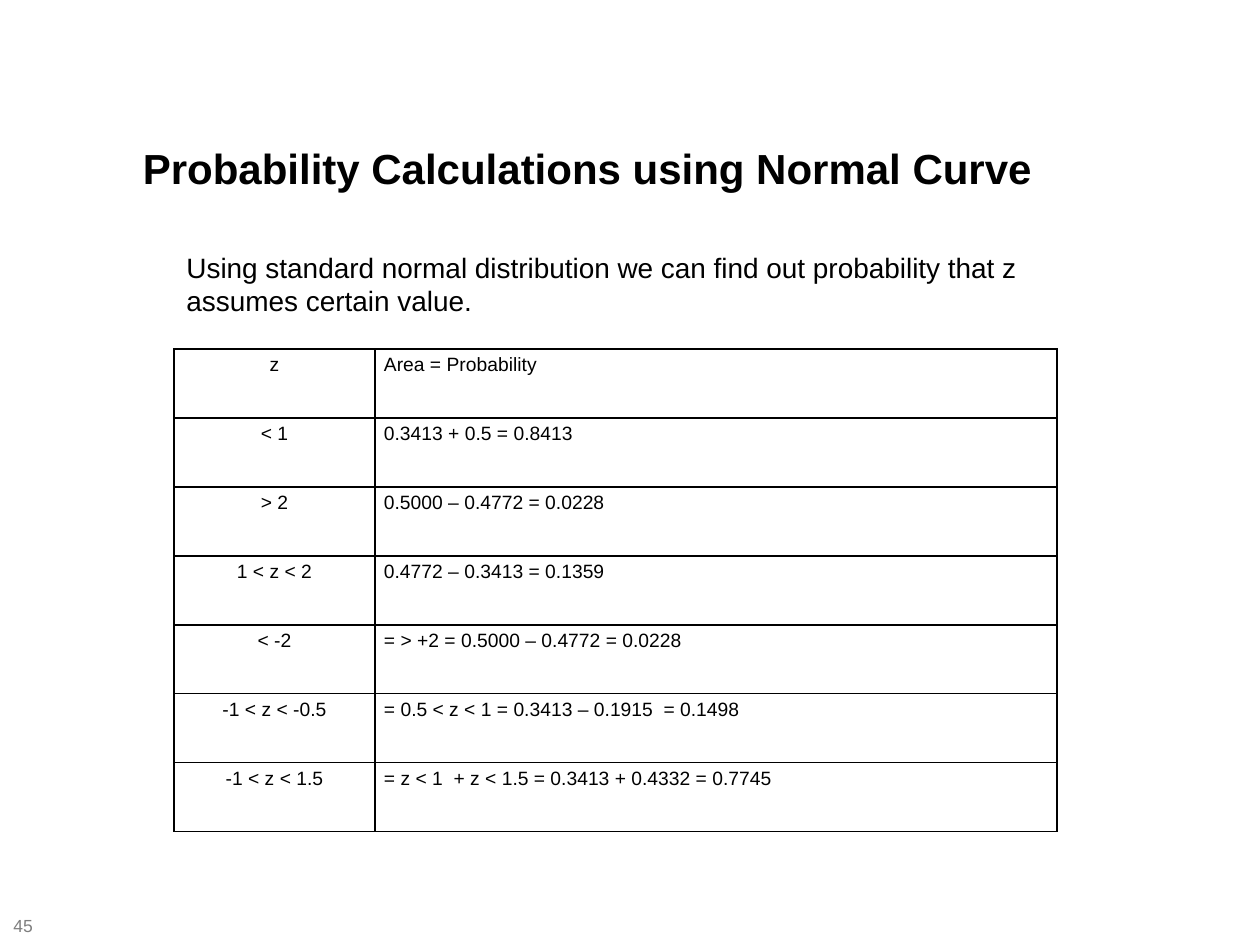
from lxml import etree
from pptx import Presentation
from pptx.dml.color import RGBColor
from pptx.enum.text import MSO_ANCHOR, PP_ALIGN
from pptx.oxml.ns import qn
from pptx.util import Emu, Pt

PX_PER_INCH = 126
BLACK, GRAY, WHITE = "000000", "7F7F7F", "FFFFFF"

PROBABILITIES = [
    ("z", "Area = Probability"),
    ("< 1", "0.3413 + 0.5 = 0.8413"),
    ("> 2", "0.5000 – 0.4772 = 0.0228"),
    ("1 < z < 2", "0.4772 – 0.3413 = 0.1359"),
    ("< -2", "= > +2 = 0.5000 – 0.4772 = 0.0228"),
    ("-1 < z < -0.5", "= 0.5 < z < 1 = 0.3413 – 0.1915  = 0.1498"),
    ("-1 < z < 1.5", "= z < 1  + z < 1.5 = 0.3413 + 0.4332 = 0.7745"),
]


def px(length):
    return Emu(round(length * 914400 / PX_PER_INCH))


def color(hex_text):
    return RGBColor.from_string(hex_text)


class SlideBuilder:
    font_name = "Arial"

    def __init__(self, slide):
        self.slide = slide

    def style(self, frame, size, hex_text, bold=False, align=PP_ALIGN.LEFT):
        for para in frame.paragraphs:
            para.alignment = align
            for span in para.runs:
                span.font.name = self.font_name
                span.font.size = Pt(size)
                span.font.bold = bold
                span.font.color.rgb = color(hex_text)

    def text(self, place, words, size, hex_text=BLACK, anchor=MSO_ANCHOR.TOP, **style):
        box = self.slide.shapes.add_textbox(*map(px, place))
        frame = box.text_frame
        frame.word_wrap = True
        frame.vertical_anchor = anchor
        frame.text = words
        self.style(frame, size, hex_text, **style)

    def border(self, cell, hex_text, width):
        """Draw all four sides of a cell; call before the cell gets its fill."""
        properties = cell._tc.get_or_add_tcPr()
        for side in ("a:lnL", "a:lnR", "a:lnT", "a:lnB"):
            line = etree.SubElement(properties, qn(side), w=str(Pt(width)))
            fill = etree.SubElement(line, qn("a:solidFill"))
            etree.SubElement(fill, qn("a:srgbClr"), val=hex_text)

    def table(self, left, top, column_widths, row_height, rows, aligns, size):
        place = (left, top, sum(column_widths), row_height * len(rows))
        table = self.slide.shapes.add_table(
            len(rows), len(column_widths), *map(px, place)).table
        table.first_row = table.horz_banding = False
        for column, width in zip(table.columns, column_widths):
            column.width = px(width)
        for row, values in zip(table.rows, rows):
            row.height = px(row_height)
            for cell, value, align in zip(row.cells, values, aligns):
                cell.margin_left = cell.margin_right = px(9)
                cell.margin_top = cell.margin_bottom = px(5)
                cell.text_frame.text = value
                self.style(cell.text_frame, size, BLACK, align=align)
                self.border(cell, BLACK, 1)
                cell.fill.solid()
                cell.fill.fore_color.rgb = color(WHITE)


def main():
    deck = Presentation()
    deck.slide_width, deck.slide_height = px(1260), px(945)
    page = SlideBuilder(deck.slides.add_slide(deck.slide_layouts[6]))

    page.text((1, 916, 49, 20), "45", 10, GRAY, MSO_ANCHOR.MIDDLE)
    page.text((64, 136, 1047, 55), "Probability Calculations using Normal Curve",
              24, bold=True, align=PP_ALIGN.CENTER)
    page.text((174, 244, 877, 81),
              "Using standard normal distribution we can find out probability "
              "that z assumes certain value.", 16)
    page.table(174, 349, (201, 682), 69, PROBABILITIES,
               (PP_ALIGN.CENTER, PP_ALIGN.LEFT), 11)

    deck.save("out.pptx")


if __name__ == "__main__":
    main()
